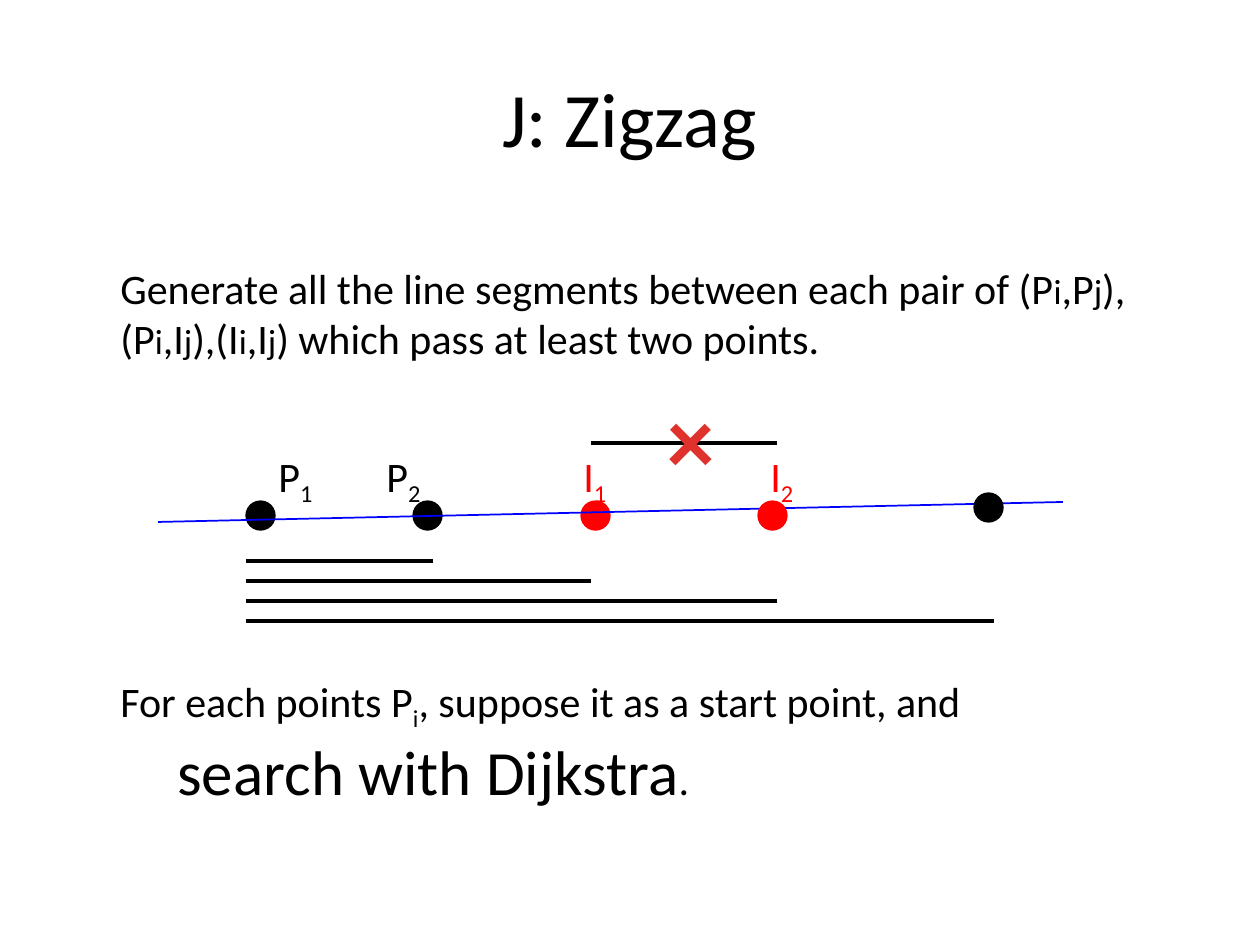
"""Build the zigzag slide: points on a line and the segments between them."""
from dataclasses import dataclass

from lxml import etree
from pptx import Presentation
from pptx import util as u
from pptx.dml.color import RGBColor
from pptx.enum import shapes, text
from pptx.oxml.ns import qn

PX = 914400 / 126


def emu(*vals):
    return [u.Emu(round(v * PX)) for v in vals]


@dataclass(frozen=True)
class Theme:
    face: str = "Calibri"
    black: str = "000000"
    red: str = "FF0000"
    blue: str = "0000FF"
    cross: str = "E0322D"
    head: int = 44
    body: int = 24
    small: int = 20
    large: int = 36
    mark: int = 54
    thin: float = 0.75
    axis: float = 1
    thick: float = 1.75


def write(para, words, face, size, color, alt=None, sub=False, bold=False, align=None, indent=0):
    """Fill a paragraph; each odd piece between bars takes the alt size or subscript."""
    if indent:
        para._p.get_or_add_pPr().set("marL", str(emu(indent)[0]))
    if align is not None:
        para.alignment = align
    for num, piece in enumerate(words.split("|")):
        odd = num % 2 == 1
        run = para.add_run()
        run.text = piece
        font = run.font
        font.name, font.bold = face, bold
        font.size = u.Pt(alt if odd and alt else size)
        font.color.rgb = RGBColor.from_string(color)
        if odd and sub:
            run._r.get_or_add_rPr().set("baseline", "-25000")


class Board:
    def __init__(self, slide, theme):
        self.slide, self.theme = slide, theme

    def title(self, words, *box):
        shape = self.slide.shapes.title
        shape.left, shape.top, shape.width, shape.height = emu(*box)
        frame = shape.text_frame
        frame.vertical_anchor = text.MSO_ANCHOR.MIDDLE
        write(frame.paragraphs[0], words, self.theme.face, self.theme.head,
              self.theme.black, align=text.PP_ALIGN.CENTER)

    def label(self, box, *lines, wrap=True):
        frame = self.slide.shapes.add_textbox(*emu(*box)).text_frame
        frame.word_wrap = wrap
        for num, (words, form) in enumerate(lines):
            para = frame.add_paragraph() if num else frame.paragraphs[0]
            base = {"face": self.theme.face, "size": self.theme.body, "color": self.theme.black}
            write(para, words, **{**base, **form})

    def dot(self, left, top, color):
        dot = self.slide.shapes.add_shape(shapes.MSO_SHAPE.OVAL, *emu(left, top, 29, 29))
        dot.shadow.inherit = False
        dot.fill.solid()
        dot.fill.fore_color.rgb = dot.line.color.rgb = RGBColor.from_string(color)
        dot.line.width = u.Pt(self.theme.thin)

    def line(self, start, end, color, width):
        line = self.slide.shapes.add_connector(
            shapes.MSO_CONNECTOR.STRAIGHT, *emu(*start, *end))
        line.line.color.rgb = RGBColor.from_string(color)
        line.line.width = u.Pt(width)
        etree.SubElement(line._element.spPr, qn("a:effectLst"))


def main():
    deck = Presentation()
    deck.slide_width, deck.slide_height = emu(1260, 945)
    theme = Theme()
    board = Board(deck.slides.add_slide(deck.slide_layouts[5]), theme)

    board.title("J: Zigzag", 63, 38, 1134, 158)
    board.label((108, 256, 1074, 115), (
        "Generate all the line segments between each pair of "
        "(P|i|,P|j|),(P|i|,I|j|),(I|i|,I|j|) which pass at least two points.",
        {"alt": theme.small}))
    board.label(
        (108, 669, 896, 140),
        ("For each points P|i|, suppose it as a start point, and", {"sub": True}),
        ("search with Dijkstra|.", {"size": theme.large, "alt": theme.body, "indent": 57}))

    for left, color in ((246, theme.black), (413, theme.black), (581, theme.red)):
        board.dot(left, 501, color)
    board.line((158, 522), (1063, 502), theme.blue, theme.axis)
    board.dot(974, 493, theme.black)
    board.dot(758, 501, theme.red)

    for left, words, color in ((266, "P|1", theme.black), (374, "P|2", theme.black),
                               (571, "I|1", theme.red), (758, "I|2", theme.red)):
        board.label((left, 444, 62, 63), (words, {"sub": True, "color": color}))

    board.line((591, 443), (777, 443), theme.black, theme.thick)
    for row, end in enumerate((433, 591, 777, 994)):
        top = 561 + 20 * row
        board.line((246, top), (end, top), theme.black, theme.thick)
    board.label((630, 374, 122, 127), (
        "×", {"size": theme.mark, "color": theme.cross, "bold": True,
              "align": text.PP_ALIGN.CENTER}), wrap=False)

    deck.save("out.pptx")


if __name__ == "__main__":
    main()
